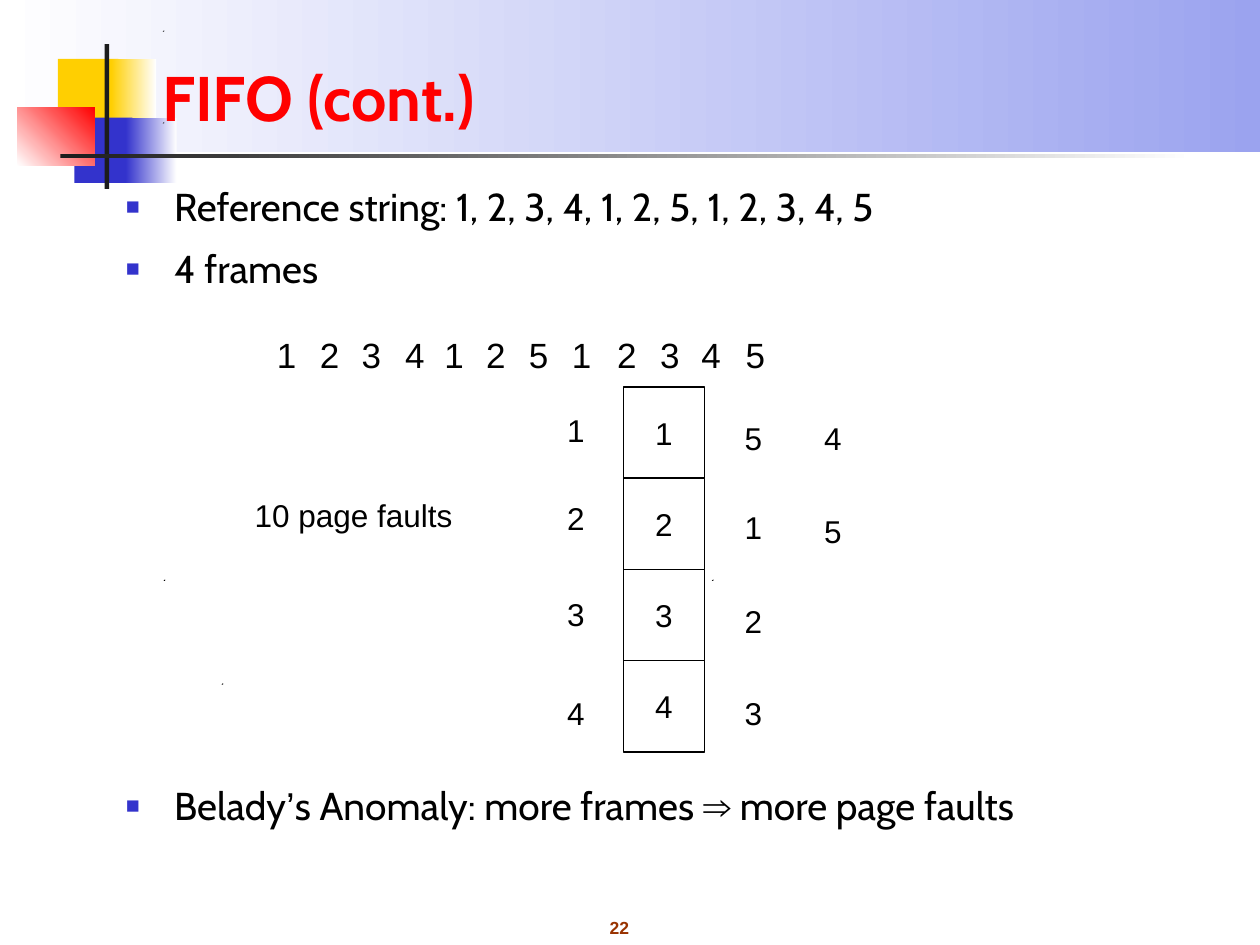
from lxml import etree
from pptx import Presentation
from pptx.dml.color import RGBColor
from pptx.enum.shapes import MSO_SHAPE
from pptx.enum.text import MSO_ANCHOR, PP_ALIGN
from pptx.oxml.ns import qn
from pptx.util import Cm, Pt

RECTANGLE = MSO_SHAPE.RECTANGLE
MIDDLE, BOTTOM = MSO_ANCHOR.MIDDLE, MSO_ANCHOR.BOTTOM
LEFT, CENTER = PP_ALIGN.LEFT, PP_ALIGN.CENTER

BLACK = RGBColor(0x00, 0x00, 0x00)
WHITE = RGBColor(0xFF, 0xFF, 0xFF)
CHARCOAL = RGBColor(0x1C, 0x1C, 0x1C)
RED = RGBColor(0xFF, 0x00, 0x00)
YELLOW = RGBColor(0xFF, 0xCF, 0x01)
BLUE = RGBColor(0x33, 0x33, 0xCC)
LAVENDER = RGBColor(0x9B, 0xA3, 0xEF)
BROWN = RGBColor(0x99, 0x33, 0x00)


class SlideBuilder:
    """Holds the style and the current slide."""
    heading_font = "Cabin"
    label_font = "Arial"

    def __init__(self, page):
        self.page = page

    def style(self, span, size, color=BLACK, font=None, bold=False):
        span.font.size = Pt(size)
        span.font.name = font or self.label_font
        span.font.bold = bold
        span.font.color.rgb = color

    def block(self, left, top, width, height, *colors, angle=0):
        """Rectangle with one fill colour, or a gradient between two."""
        shape = self.page.shapes.add_shape(
            RECTANGLE, Cm(left), Cm(top), Cm(width), Cm(height))
        shape.shadow.inherit = False
        shape.line.fill.background()
        if len(colors) == 1:
            shape.fill.solid()
            shape.fill.fore_color.rgb = colors[0]
        else:
            shape.fill.gradient()
            shape.fill.gradient_angle = angle
            for stop, color in zip(shape.fill.gradient_stops, colors):
                stop.color.rgb = color
        return shape

    def speck(self, left, top):
        size = Cm(0.03)
        outline = self.page.shapes.build_freeform(Cm(left), Cm(top) + size)
        outline.add_line_segments([(Cm(left) + size, Cm(top)),
                                   (Cm(left) + size, Cm(top) + size)])
        shape = outline.convert_to_shape()
        shape.shadow.inherit = False
        shape.fill.solid()
        shape.fill.fore_color.rgb = BLACK
        shape.line.fill.background()

    def put_text(self, shape, text, size, align=CENTER, anchor=MIDDLE, **look):
        frame = shape.text_frame
        frame.text = text
        frame.word_wrap = align == LEFT
        frame.vertical_anchor = anchor
        para = frame.paragraphs[0]
        para.alignment = align
        self.style(para.runs[0], size, **look)

    def label(self, left, top, width, height, text, size, **look):
        box = self.page.shapes.add_textbox(
            Cm(left), Cm(top), Cm(width), Cm(height))
        self.put_text(box, text, size, **look)

    def frame_cell(self, left, top, width, height, text):
        cell = self.block(left, top, width, height, WHITE)
        cell.line.color.rgb = BLACK
        cell.line.width = Pt(0.75)
        self.put_text(cell, text, 18)

    def bullets(self, left, top, width, height, items):
        """Items are (space before, list of (text, font)) pairs."""
        box = self.page.shapes.add_textbox(
            Cm(left), Cm(top), Cm(width), Cm(height))
        frame = box.text_frame
        frame.word_wrap = True
        for index, (space, pieces) in enumerate(items):
            para = frame.add_paragraph() if index else frame.paragraphs[0]
            self.add_bullet(para)
            para.space_before = Pt(space)
            for text, font in pieces:
                span = para.add_run()
                span.text = text
                self.style(span, 22.2, font=font)

    def add_bullet(self, para):
        properties = para._p.get_or_add_pPr()
        properties.set("marL", str(Cm(0.97)))
        properties.set("indent", str(Cm(-0.97)))
        color = etree.SubElement(properties, qn("a:buClr"))
        etree.SubElement(color, qn("a:srgbClr"), val=str(BLUE))
        etree.SubElement(properties, qn("a:buSzPct"), val="60000")
        etree.SubElement(properties, qn("a:buFont"), typeface=self.label_font)
        etree.SubElement(properties, qn("a:buChar"), char="■")


def main():
    deck = Presentation()
    deck.slide_width, deck.slide_height = Cm(25.4), Cm(19.05)
    slide = SlideBuilder(deck.slides.add_slide(deck.slide_layouts[6]))
    heading, plain = slide.heading_font, slide.label_font

    # Header band and ornament
    slide.block(0, 0, 25.4, 3.07, WHITE, LAVENDER)
    slide.block(1.17, 1.19, 1.22, 1.32, YELLOW)
    slide.block(2.24, 1.19, 0.91, 1.32, YELLOW, WHITE)
    slide.block(1.5, 2.37, 1.17, 1.32, BLUE)
    slide.block(2.54, 2.37, 1.02, 1.32, BLUE, WHITE)
    slide.block(0.35, 2.16, 1.56, 1.18, WHITE, RED, angle=45)
    slide.block(2.11, 0.89, 0.09, 2.92, CHARCOAL)
    slide.block(1.22, 3.1, 22.86, 0.08, CHARCOAL, WHITE)
    for left, top in [(3.28, 0.61), (3.28, 2.46), (3.3, 11.68),
                      (14.35, 11.68), (4.47, 13.77)]:
        slide.speck(left, top)

    # Title, bullets and page number
    slide.label(3.02, 0.51, 21.64, 2.31, "FIFO (cont.)", 36, align=LEFT,
                anchor=BOTTOM, color=RED, font=heading, bold=True)
    slide.bullets(2.29, 3.56, 21.56, 13.36, [
        (0, [("Reference string: 1, 2, 3, 4, 1, 2, 5, 1, 2, 3, 4, 5", heading)]),
        (9, [("4 frames", heading)]),
        (280, [("Belady", heading), ("’", plain),
               ("s Anomaly: more frames ", heading), ("⇒", plain),
               (" more page faults", heading)]),
    ])
    slide.label(11.38, 18.36, 2.21, 0.69, "22", 10, color=BROWN, bold=True)

    # Reference string above the frames
    reference_lefts = [5.33, 6.2, 7.04, 7.92, 8.71, 9.55,
                       10.41, 11.28, 12.19, 13.06, 13.89, 14.78]
    for left, digit in zip(reference_lefts, "123412512345"):
        slide.label(left, 6.58, 0.89, 1.12, digit, 20)

    # Four frames
    cell_height = 1.84
    for row, digit in enumerate("1234"):
        slide.frame_cell(12.57, 7.8 + row * cell_height, 1.63, cell_height, digit)

    # Page history beside the frames
    history = [
        (11.18, "1234", [8.15, 9.93, 11.86, 13.87]),
        (14.76, "5123", [8.31, 10.11, 12.01, 13.87]),
        (16.36, "45", [8.31, 10.19]),
    ]
    for left, digits, tops in history:
        for digit, top in zip(digits, tops):
            slide.label(left, top, 0.86, 1.02, digit, 18)
    slide.label(4.88, 9.88, 4.5, 1.02, "10 page faults", 18)

    deck.save("out.pptx")


if __name__ == "__main__":
    main()
